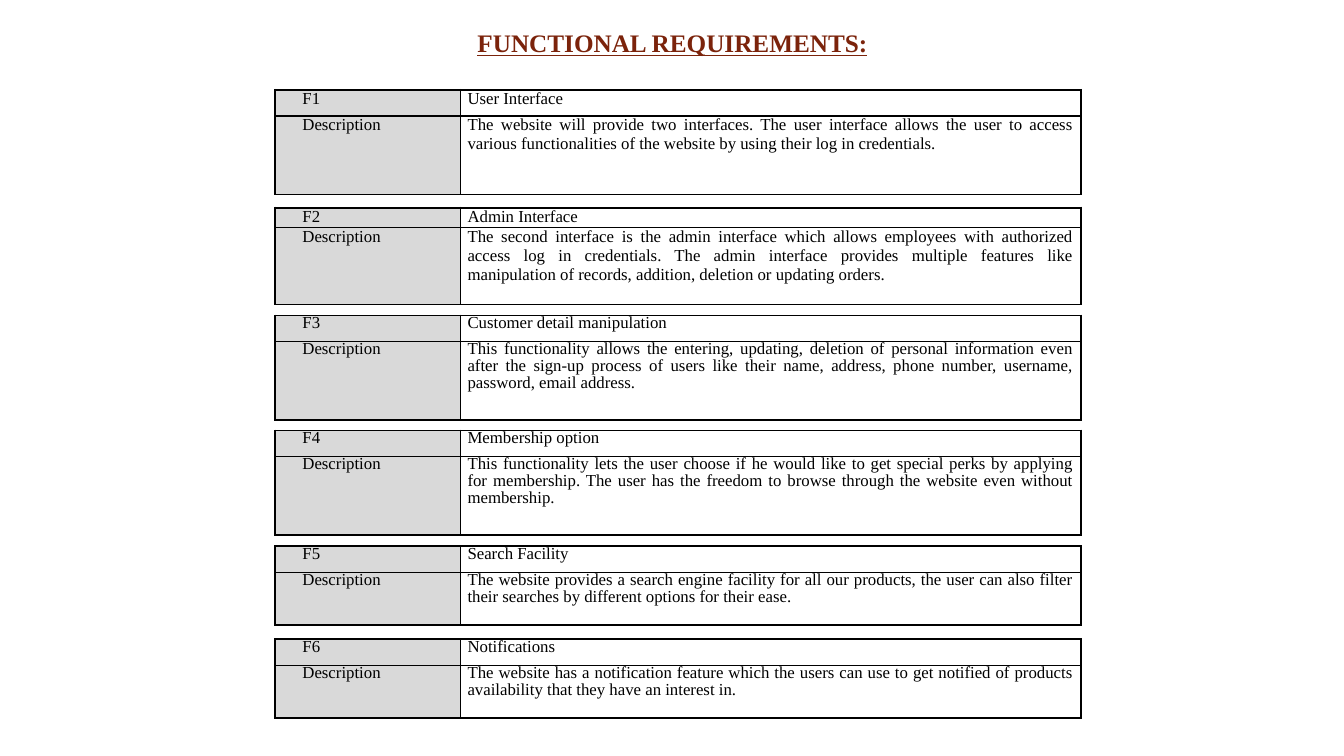
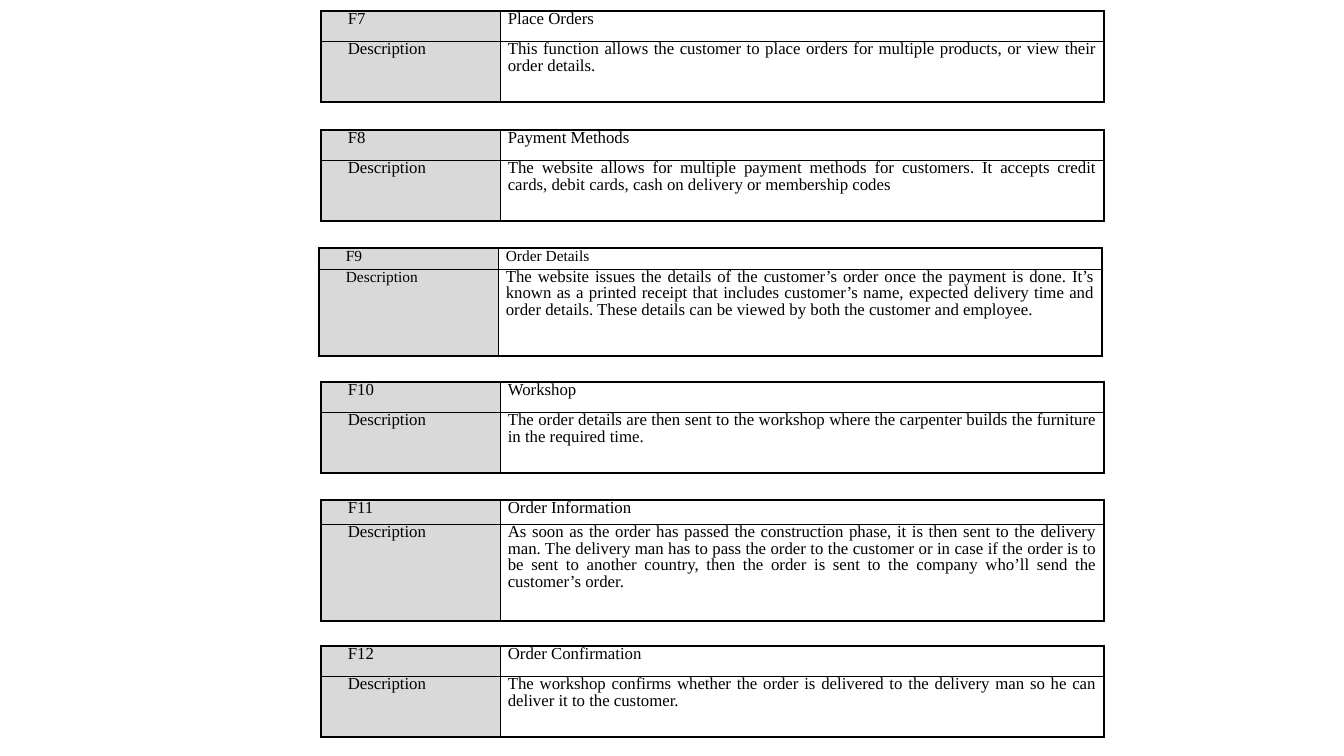
import lxml.etree
import pptx
import pptx.dml.color
import pptx.enum.text
import pptx.oxml.ns
import pptx.util

RGB = pptx.dml.color.RGBColor
ALIGN = pptx.enum.text.PP_ALIGN
Pt = pptx.util.Pt
qn = pptx.oxml.ns.qn

BLACK = RGB(0x00, 0x00, 0x00)
GREY = RGB(0xD9, 0xD9, 0xD9)
RUST = RGB(0x7B, 0x23, 0x0B)
FONT = "Times New Roman"

COLS, ROWS = 1333, 750
UNIT = pptx.util.Inches(0.01)
SHARE = 0.23
THICK, THIN = Pt(1.5), Pt(1)

TITLE = "FUNCTIONAL REQUIREMENTS:"
LOOSE = {"lead": None}
SMALL = {"size": 11, "shift": -2}

# Each row: code, name, text, top, head rows, body rows, options
PAGES = [
    {"title": TITLE, "left": 273, "width": 799, "items": [
        ("F1", "User Interface",
         "The website will provide two interfaces. The user interface allows the user to access "
         "various functionalities of the website by using their log in credentials.",
         89, 26, 78, LOOSE),
        ("F2", "Admin Interface",
         "The second interface is the admin interface which allows employees with authorized "
         "access log in credentials. The admin interface provides multiple features like "
         "manipulation of records, addition, deletion or updating orders.",
         206, 19, 76, LOOSE),
        ("F3", "Customer detail manipulation",
         "This functionality allows the entering, updating, deletion of personal information even "
         "after the sign-up process of users like their name, address, phone number, username, "
         "password, email address.",
         313, 26, 78, {}),
        ("F4", "Membership option",
         "This functionality lets the user choose if he would like to get special perks by applying "
         "for membership. The user has the freedom to browse through the website even without "
         "membership.",
         427, 26, 78, {}),
        ("F5", "Search Facility",
         "The website provides a search engine facility for all our products, the user can also "
         "filter their searches by different options for their ease.",
         542, 26, 52, {}),
        ("F6", "Notifications",
         "The website has a notification feature which the users can use to get notified of "
         "products availability that they have an interest in.",
         634, 26, 52, {}),
    ]},
    {"title": None, "left": 318, "width": 777, "items": [
        ("F7", "Place Orders",
         "This function allows the customer to place orders for multiple products, or view their "
         "order details.",
         11, 30, 60, {}),
        ("F8", "Payment Methods",
         "The website allows for multiple payment methods for customers. It accepts credit "
         "cards, debit cards, cash on delivery or membership codes",
         129, 30, 60, {}),
        ("F9", "Order Details",
         "The website issues the details of the customer’s order once the payment is done. It’s "
         "known as a printed receipt that includes customer’s name, expected delivery time and "
         "order details. These details can be viewed by both the customer and employee.",
         246, 21, 86, SMALL),
        ("F10", "Workshop",
         "The order details are then sent to the workshop where the carpenter builds the furniture "
         "in the required time.",
         379, 30, 60, {}),
        ("F11", "Order Information",
         "As soon as the order has passed the construction phase, it is then sent to the delivery "
         "man. The delivery man has to pass the order to the customer or in case if the order is to "
         "be sent to another country, then the order is sent to the company who’ll send the "
         "customer’s order.",
         496, 24, 96, {}),
        ("F12", "Order Confirmation",
         "The workshop confirms whether the order is delivered to the delivery man so he can "
         "deliver it to the customer.",
         641, 30, 60, {}),
    ]},
]


def grid(*cells):
    return [int(n * UNIT) for n in cells]


def style(par, size, color):
    par.font.name = FONT
    par.font.size = Pt(size)
    par.font.color.rgb = color


def add_title(slide, text):
    box = slide.shapes.add_textbox(*grid(461, 20, 412, 41))
    frame = box.text_frame
    frame.word_wrap = False
    frame.auto_size = pptx.enum.text.MSO_AUTO_SIZE.SHAPE_TO_FIT_TEXT
    par = frame.paragraphs[0]
    par.text = text
    par.alignment = ALIGN.CENTER
    par.line_spacing = 1.07
    par.space_before = Pt(12)
    style(par, 18, RUST)
    par.font.bold = par.font.underline = True


def add_edges(cell, row, col):
    props = cell._tc.get_or_add_tcPr()
    outer = {"L": col == 0, "R": col == 1, "T": row == 0, "B": row == 1}
    for side, edge in outer.items():
        line = lxml.etree.SubElement(props, qn("a:ln" + side), w=str(THICK if edge else THIN))
        fill = lxml.etree.SubElement(line, qn("a:solidFill"))
        lxml.etree.SubElement(fill, qn("a:srgbClr"), val=str(BLACK))


def fill_cell(cell, row, col, text, size, lead):
    add_edges(cell, row, col)
    cell.margin_left = cell.margin_right = 7 * UNIT
    cell.margin_top = cell.margin_bottom = 0
    par = cell.text_frame.paragraphs[0]
    par.text = text
    par.space_after = Pt(6)
    par.line_spacing = lead
    style(par, size, BLACK)
    name = (row, col) == (0, 1)
    par.alignment = ALIGN.LEFT if name else ALIGN.JUSTIFY
    if col == 0:
        par._p.get_or_add_pPr().set("marL", str(20 * UNIT))
        cell.fill.solid()
        cell.fill.fore_color.rgb = GREY
    else:
        cell.fill.background()


def add_item(slide, left, width, item):
    code, name, text, top, head, body, opts = item
    place = grid(left + opts.get("shift", 0), top, width, head + body)
    table = slide.shapes.add_table(2, 2, *place).table
    table.first_row = table.horz_banding = False
    for col, part in zip(table.columns, (SHARE, 1 - SHARE)):
        col.width = int(width * part * UNIT)
    for row, high in zip(table.rows, (head, body)):
        row.height = high * UNIT
    size = opts.get("size", 12)
    lead = opts.get("lead", Pt(12))
    texts = [[(code, size), (name, size)], [("Description", size), (text, 12)]]
    for row, line in enumerate(texts):
        for col, (words, points) in enumerate(line):
            fill_cell(table.cell(row, col), row, col, words, points, lead)


def main():
    deck = pptx.Presentation()
    deck.slide_width, deck.slide_height = grid(COLS, ROWS)
    for page in PAGES:
        slide = deck.slides.add_slide(deck.slide_layouts[6])
        if page["title"]:
            add_title(slide, page["title"])
        for item in page["items"]:
            add_item(slide, page["left"], page["width"], item)
    deck.save("out.pptx")


if __name__ == "__main__":
    main()
